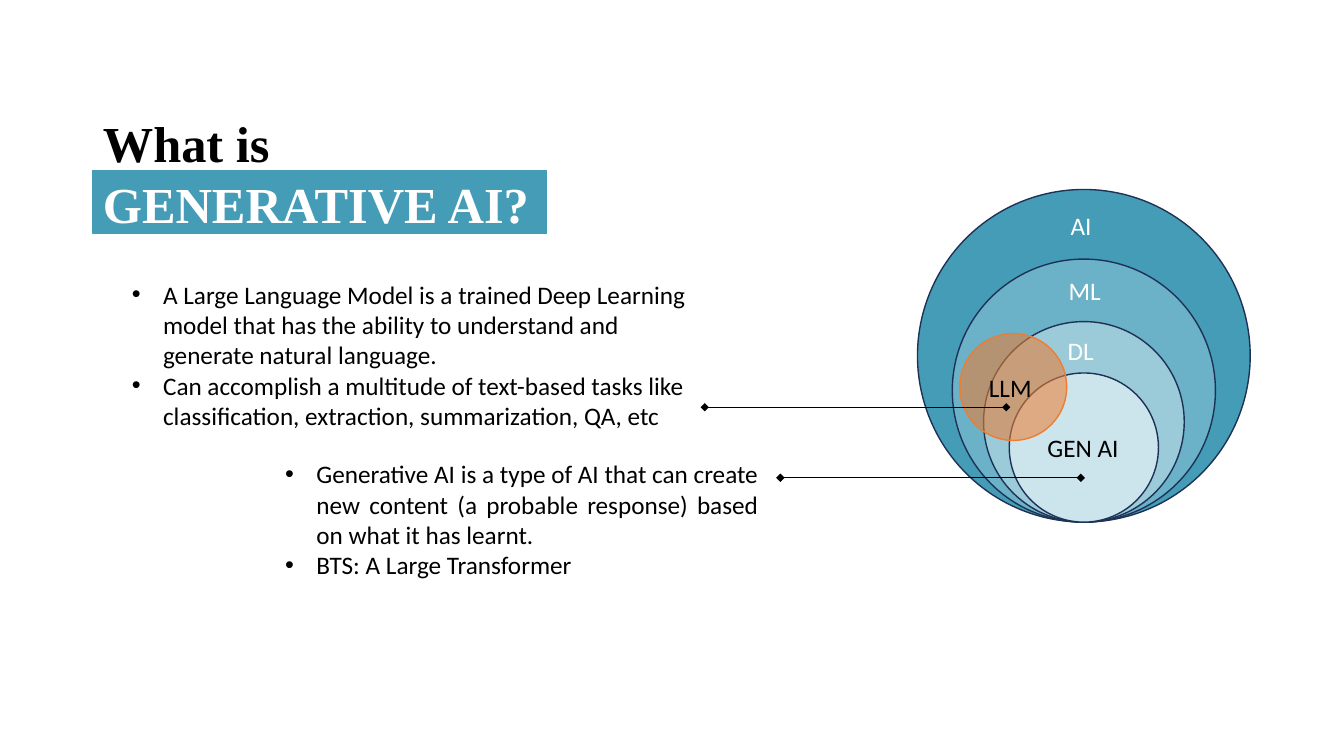
from lxml import etree
from pptx import Presentation
from pptx.dml.color import RGBColor
from pptx.enum.shapes import MSO_CONNECTOR, MSO_SHAPE
from pptx.enum.text import MSO_ANCHOR, MSO_AUTO_SIZE, PP_ALIGN
from pptx.oxml.ns import qn
from pptx.util import Pt

PX = 9144  # 100 px to the inch
TITLE_ONLY = 5
RECTANGLE, OVAL = MSO_SHAPE.RECTANGLE, MSO_SHAPE.OVAL
STRAIGHT = MSO_CONNECTOR.STRAIGHT
TOP, NO_AUTO_SIZE = MSO_ANCHOR.TOP, MSO_AUTO_SIZE.NONE
LEFT, JUSTIFY = PP_ALIGN.LEFT, PP_ALIGN.JUSTIFY

BLACK, WHITE, TEAL, NAVY, ORANGE = "000000", "FFFFFF", "459CB7", "1E3256", "ED7D31"
RING_CENTER, RING_BOTTOM = 1075, 518
RINGS = [(330, TEAL), (261, "6BB1C7"), (199, "9BCAD9"), (148, "CCE4EC")]
RING_LABELS = [
    ("AI", 1052, 204, 41, WHITE),
    ("ML", 1050, 268, 52, WHITE),
    ("DL", 1049, 328, 46, WHITE),
    ("GEN AI", 1029, 424, 91, BLACK),
]
LLM_POINTS = [
    "A Large Language Model is a trained Deep Learning model that has the ability "
    "to understand and generate natural language.",
    "Can accomplish a multitude of text-based tasks like classification, extraction, "
    "summarization, QA, etc",
]
GEN_AI_POINTS = [
    "Generative AI is a type of AI that can create new content (a probable response) "
    "based on what it has learnt.",
    "BTS: A Large Transformer",
]


def rgb(value):
    return RGBColor.from_string(value)


class SlideBuilder:
    font, size, indent = "Calibri", 18, 31

    def __init__(self, slide):
        self.slide = slide
        self.shapes = slide.shapes

    def start_group(self):
        """Send the elements that follow into a new group."""
        self.shapes = self.slide.shapes.add_group_shape().shapes

    def end_group(self):
        self.shapes = self.slide.shapes

    def shape(self, kind, left, top, width, height, fill, line, opacity=None):
        shape = self.shapes.add_shape(kind, left * PX, top * PX, width * PX, height * PX)
        shape.shadow.inherit = False
        shape.fill.solid()
        shape.fill.fore_color.rgb = rgb(fill)
        shape.line.color.rgb = rgb(line)
        shape.line.width = Pt(1)
        if opacity is not None:
            color = shape.element.spPr.find(qn("a:solidFill")).find(qn("a:srgbClr"))
            etree.SubElement(color, qn("a:alpha"), val=str(opacity * 1000))
        return shape

    def title(self, lines, left, top, width, height):
        title = self.slide.shapes.title
        title.left, title.top = left * PX, top * PX
        title.width, title.height = width * PX, height * PX
        frame = title.text_frame
        frame.text = "\n".join(text for text, _ in lines)
        frame.word_wrap = False
        frame.auto_size = NO_AUTO_SIZE
        frame.vertical_anchor = TOP
        for para, (_, color) in zip(frame.paragraphs, lines):
            para.alignment = LEFT
            para.line_spacing = Pt(44)
            self.style(para, color, "Times New Roman", 36, True)
        return title

    def style(self, para, color, font=font, size=size, bold=False):
        for span in para.runs:
            span.font.name = font
            span.font.size = Pt(size)
            span.font.bold = bold
            span.font.color.rgb = rgb(color)

    def text_box(self, left, top, width, height, text, wrap):
        box = self.shapes.add_textbox(left * PX, top * PX, width * PX, height * PX)
        frame = box.text_frame
        frame.text = text
        frame.word_wrap = wrap
        return frame

    def label(self, text, left, top, width, color):
        frame = self.text_box(left, top, width, 40, text, False)
        self.style(frame.paragraphs[0], color)

    def bullets(self, points, left, top, width, height, alignment):
        frame = self.text_box(left, top, width, height, "\n".join(points), True)
        for para in frame.paragraphs:
            para.alignment = alignment
            properties = para._p.get_or_add_pPr()
            properties.set("marL", str(self.indent * PX))
            properties.set("indent", str(-self.indent * PX))
            etree.SubElement(properties, qn("a:buFont"), typeface="Arial")
            etree.SubElement(properties, qn("a:buChar"), char="•")
            self.style(para, BLACK)

    def pointer(self, start, end, y):
        """Draw a level line with a diamond at each end."""
        line = self.shapes.add_connector(STRAIGHT, start * PX, y * PX, end * PX, y * PX)
        line.line.color.rgb = rgb(BLACK)
        line.line.width = Pt(0.5)
        outline = line.line._get_or_add_ln()
        for tag in ("a:headEnd", "a:tailEnd"):
            etree.SubElement(outline, qn(tag), type="diamond")
        etree.SubElement(line.element.spPr, qn("a:effectLst"))


def main():
    deck = Presentation()
    deck.slide_width, deck.slide_height = 1333 * PX, 750 * PX
    builder = SlideBuilder(deck.slides.add_slide(deck.slide_layouts[TITLE_ONLY]))

    title = builder.title([("What is", BLACK), ("GENERATIVE AI?", WHITE)], 92, 105, 450, 192)
    bar = builder.shape(RECTANGLE, 92, 169, 450, 62, TEAL, TEAL)
    title.element.addprevious(bar.element)  # the bar lies behind the title

    builder.start_group()
    for size, fill in RINGS:
        builder.shape(OVAL, RING_CENTER - size / 2, RING_BOTTOM - size, size, size, fill, NAVY)
    for ring_label in RING_LABELS:
        builder.label(*ring_label)
    builder.shape(OVAL, 952, 331, 106, 106, ORANGE, ORANGE, opacity=56)
    builder.label("LLM", 971, 364, 63, BLACK)
    builder.end_group()

    builder.pointer(1072, 774, 474)
    builder.pointer(998, 699, 404)
    builder.bullets(GEN_AI_POINTS, 273, 450, 489, 162, JUSTIFY)
    builder.bullets(LLM_POINTS, 121, 272, 584, 162, LEFT)
    deck.save("out.pptx")


if __name__ == "__main__":
    main()
